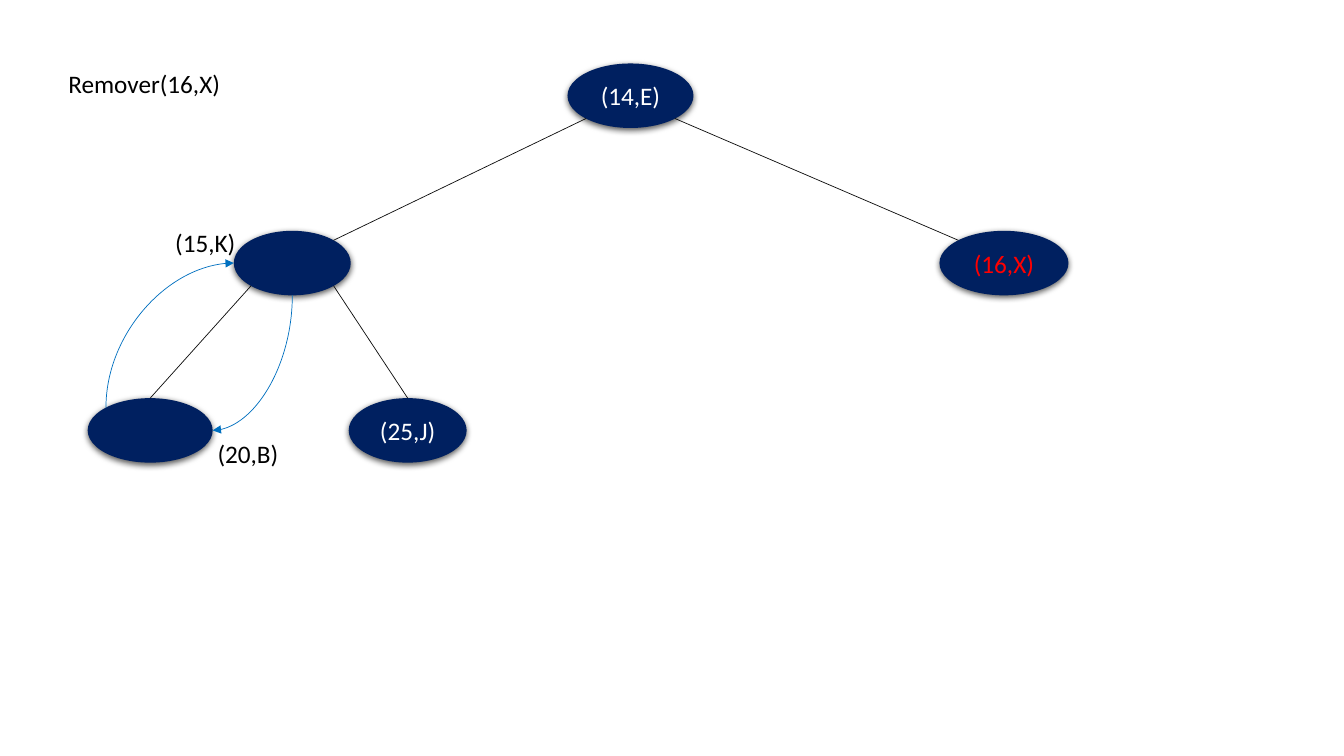
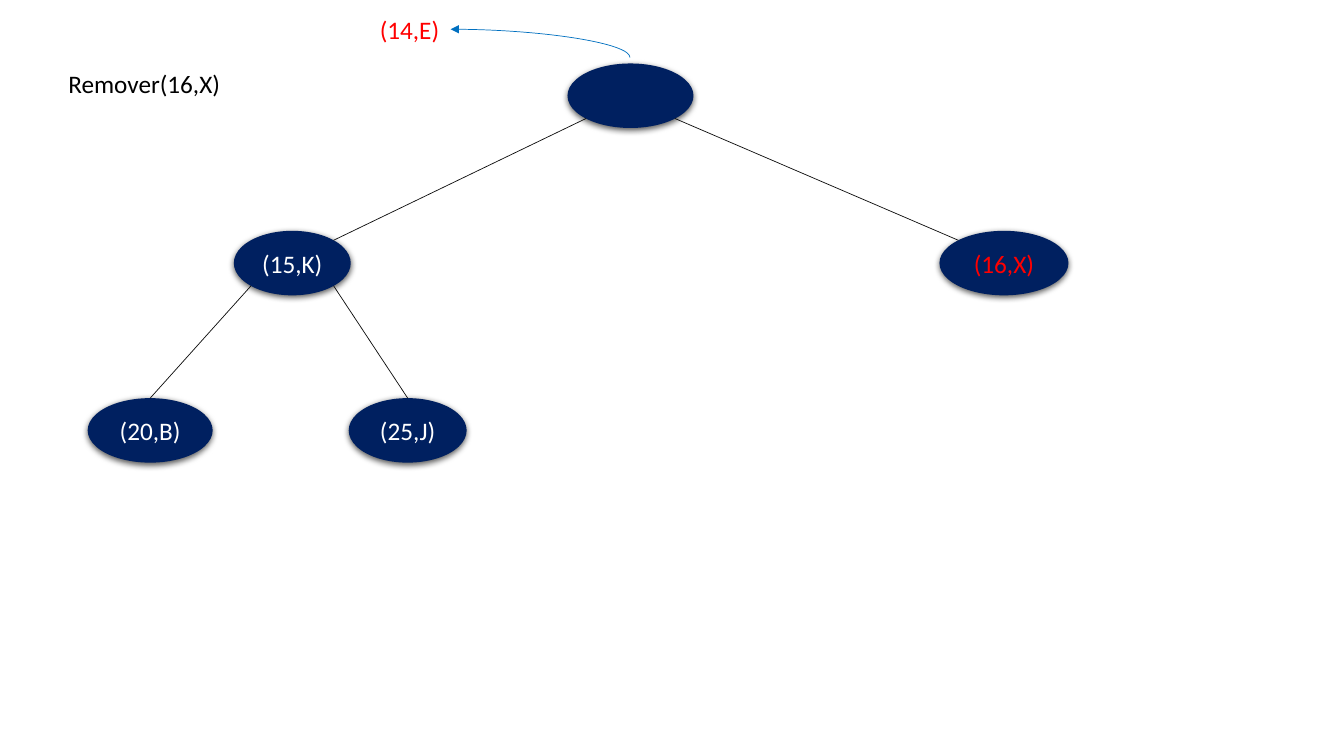
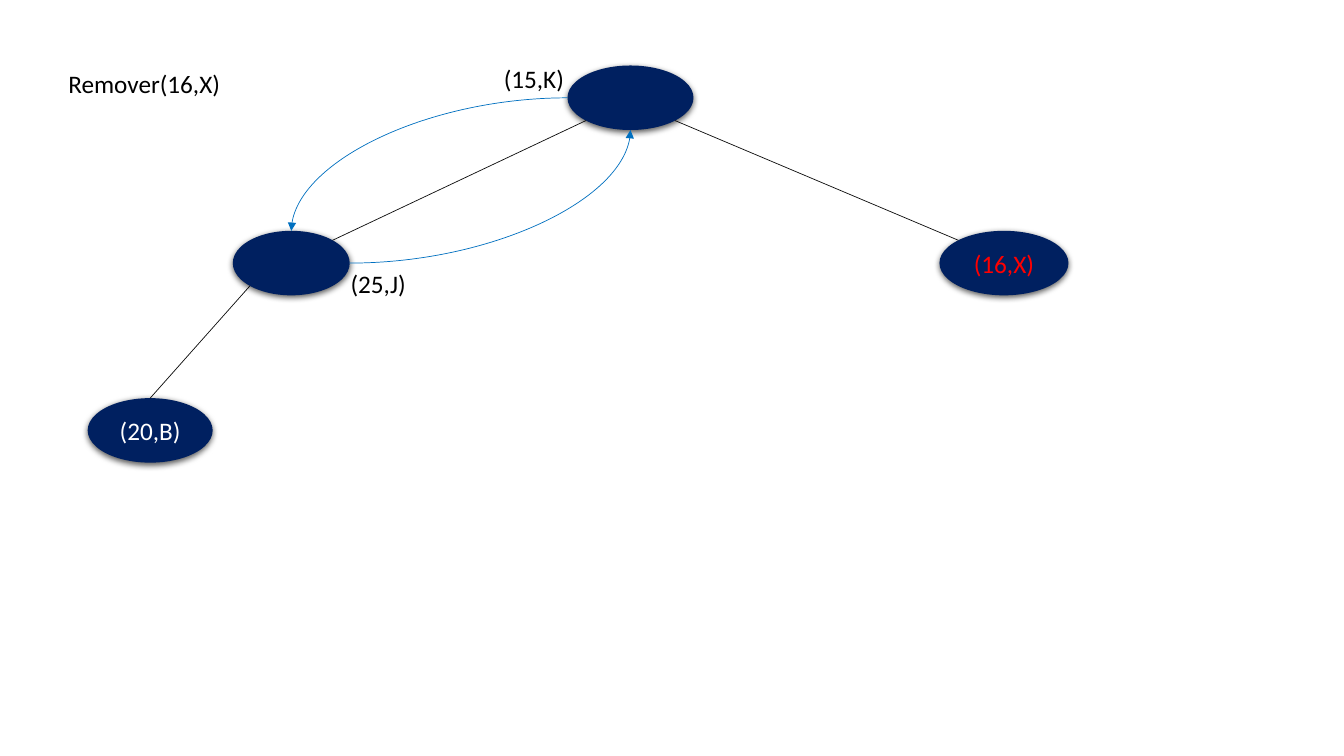
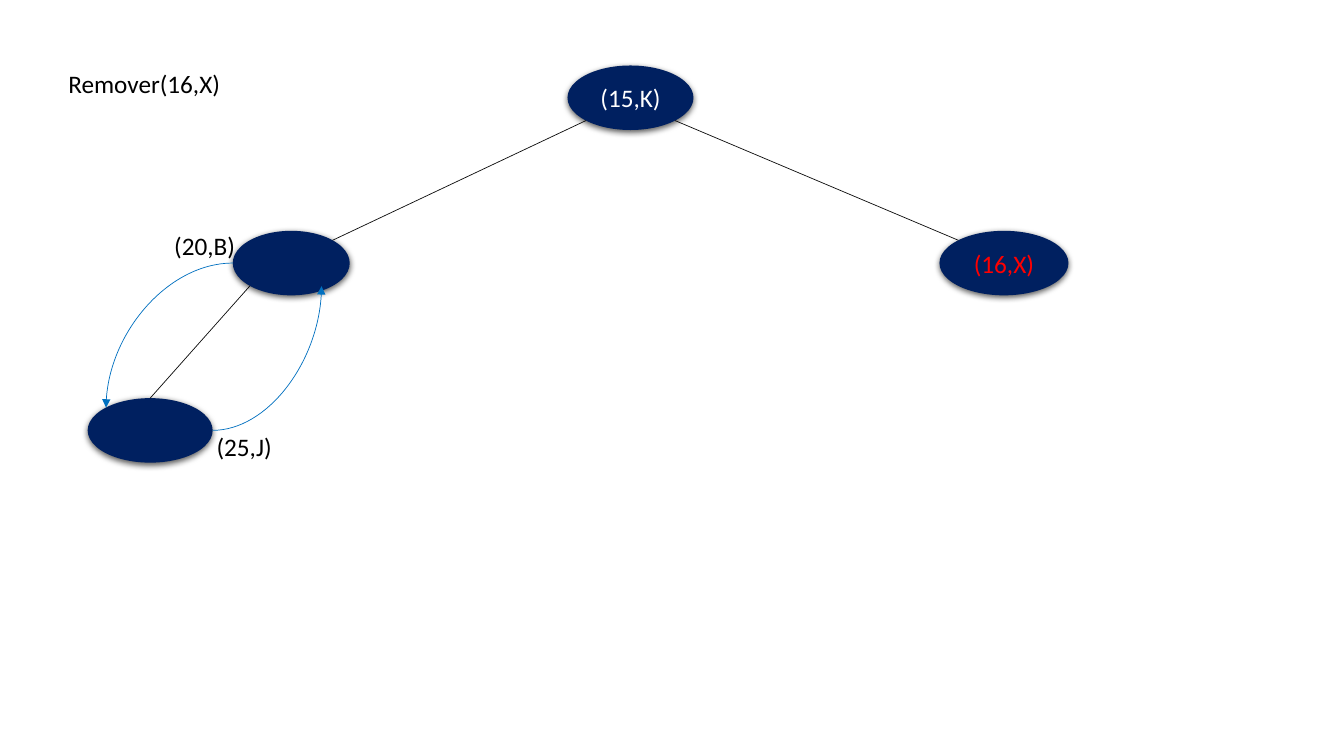
from math import cos, pi, sin

from lxml import etree
from pptx import Presentation
from pptx.dml.color import RGBColor
from pptx.enum.shapes import MSO_CONNECTOR, MSO_SHAPE
from pptx.enum.text import MSO_ANCHOR, MSO_AUTO_SIZE, PP_ALIGN
from pptx.oxml.ns import qn
from pptx.util import Emu, Pt

SCALE = 9144
BLANK_LAYOUT = 6
ELLIPSE = MSO_SHAPE.OVAL
STRAIGHT, CURVE = MSO_CONNECTOR.STRAIGHT, MSO_CONNECTOR.CURVE
CENTER, MIDDLE = PP_ALIGN.CENTER, MSO_ANCHOR.MIDDLE
GROW = MSO_AUTO_SIZE.SHAPE_TO_FIT_TEXT

NAVY = RGBColor(0x00, 0x20, 0x60)
BLUE = RGBColor(0x00, 0x70, 0xC0)
INK = RGBColor(0x0D, 0x0D, 0x0D)
BLACK = RGBColor(0x00, 0x00, 0x00)
WHITE = RGBColor(0xFF, 0xFF, 0xFF)
RED = RGBColor(0xFF, 0x00, 0x00)

FONT = {"name": "Calibri", "size": Pt(18)}
SHADOW = {"blurRad": "57150", "dist": "19050", "dir": "5400000",
          "algn": "ctr", "rotWithShape": "0"}
SHADOW_ALPHA = "63000"
NODE_HEIGHT = 64
LABEL_SIZE = (84, 40)
TOP, TOP_LEFT, LEFT, BOTTOM_LEFT, BOTTOM, BOTTOM_RIGHT, RIGHT, TOP_RIGHT = range(8)


def px(value):
    """Turn a length in px into EMU."""
    return Emu(round(value * SCALE))


def site(place, index):
    """Return the point of an ellipse at one of its eight connection sites."""
    left, top, width, height = place
    angle = -pi / 2 - index * pi / 4
    return (left + width / 2 * (1 + cos(angle)), top + height / 2 * (1 + sin(angle)))


class TreeDeck:
    """Hold the style, the presentation and the current slide."""

    def __init__(self):
        """Start an empty wide presentation."""
        self.deck = Presentation()
        self.deck.slide_width, self.deck.slide_height = px(1333.33), px(750)
        self.slide = None

    def add_page(self):
        """Start a new slide."""
        layout = self.deck.slide_layouts[BLANK_LAYOUT]
        self.slide = self.deck.slides.add_slide(layout)

    def add_text(self, frame, text, color):
        """Put one formatted line of text in a frame."""
        para = frame.paragraphs[0]
        span = para.add_run()
        span.text = text
        for key, value in FONT.items():
            setattr(span.font, key, value)
        span.font.color.rgb = color
        return para

    def add_label(self, text, left, top, size=LABEL_SIZE, color=BLACK, wrap=True):
        """Add a free label."""
        box = self.slide.shapes.add_textbox(*map(px, (left, top, *size)))
        box.text_frame.word_wrap = wrap
        box.text_frame.auto_size = GROW
        self.add_text(box.text_frame, text, color)

    def add_node(self, place, text, color=WHITE):
        """Add a tree node with a soft shadow."""
        node = self.slide.shapes.add_shape(ELLIPSE, *map(px, place))
        node.fill.solid()
        node.fill.fore_color.rgb = NAVY
        node.line.fill.background()
        node.shadow.inherit = False
        effects = node._element.spPr.find(qn("a:effectLst"))
        shadow = etree.SubElement(effects, qn("a:outerShdw"), SHADOW)
        black = etree.SubElement(shadow, qn("a:srgbClr"), val=str(BLACK))
        etree.SubElement(black, qn("a:alpha"), val=SHADOW_ALPHA)
        if text:
            node.text_frame.vertical_anchor = MIDDLE
            self.add_text(node.text_frame, text, color).alignment = CENTER

    def add_line(self, kind, start, end, color):
        """Add a thin connector without a shadow."""
        line = self.slide.shapes.add_connector(kind, *map(px, (*start, *end)))
        line.line.color.rgb = color
        line.line.width = Pt(0.5)
        etree.SubElement(line._element.spPr, qn("a:effectLst"))
        return line

    def add_arrow(self, start, end, vertical=False):
        """Add a quarter-curve arrow that leaves along one axis and arrives along the other."""
        across, down = end[0] - start[0], end[1] - start[1]
        angle = 0
        if vertical:
            across, down, angle = down, -across, 90
        if across < 0 < down:
            across, down, angle = -across, -down, angle + 180
        middle_x, middle_y = (start[0] + end[0]) / 2, (start[1] + end[1]) / 2
        arrow = self.add_line(CURVE, (middle_x - across / 2, middle_y - down / 2),
                              (middle_x + across / 2, middle_y + down / 2), BLUE)
        arrow.rotation = angle
        shape = arrow._element.spPr
        shape.find(qn("a:prstGeom")).set("prst", "curvedConnector2")
        etree.SubElement(shape.find(qn("a:ln")), qn("a:tailEnd"), type="triangle")

    def add_tree(self, places, texts):
        """Add the nodes, the edges between them and the heading."""
        for name, text in texts.items():
            self.add_node(places[name], text, RED if name == "right" else WHITE)
        edges = [("root", BOTTOM_LEFT, "left", TOP_RIGHT),
                 ("left", BOTTOM_LEFT, "first leaf", TOP),
                 ("root", BOTTOM_RIGHT, "right", TOP_LEFT),
                 ("left", BOTTOM_RIGHT, "second leaf", TOP)]
        for parent, leave, child, arrive in edges:
            if child in texts:
                self.add_line(STRAIGHT, site(places[parent], leave),
                              site(places[child], arrive), INK)
        self.add_label("Remover(16,X)", 58, 63, size=(173, 40), wrap=False)


def tree_places(root_top, left_edge):
    """Return the node places for one position of the root and of its left child."""
    corners = {"root": (563, root_top, 125), "left": (left_edge, 229, 116),
               "right": (932, 229, 128), "first leaf": (87, 395, 124),
               "second leaf": (346, 395, 117)}
    return {name: (*corner, NODE_HEIGHT) for name, corner in corners.items()}


def main():
    """Build the four steps of the removal."""
    tree = TreeDeck()
    early, late = tree_places(63, 232), tree_places(65, 231)

    tree.add_page()
    tree.add_tree(early, {"root": "(14,E)", "left": "", "right": "(16,X)",
                          "first leaf": "", "second leaf": "(25,J)"})
    tree.add_arrow(site(early["first leaf"], TOP_LEFT), site(early["left"], LEFT),
                   vertical=True)
    tree.add_label("(15,K)", 164, 221)
    tree.add_arrow(site(early["left"], BOTTOM), site(early["first leaf"], RIGHT),
                   vertical=True)
    tree.add_label("(20,B)", 206, 430)

    tree.add_page()
    tree.add_tree(early, {"root": "", "left": "(15,K)", "right": "(16,X)",
                          "first leaf": "(20,B)", "second leaf": "(25,J)"})
    tree.add_label("(14,E)", 367, 9, color=RED)
    tree.add_arrow((625, 57), (447, 29), vertical=True)

    tree.add_page()
    tree.add_tree(late, {"root": "", "left": "", "right": "(16,X)",
                         "first leaf": "(20,B)"})
    tree.add_arrow(site(late["left"], RIGHT), site(late["root"], BOTTOM))
    tree.add_label("(25,J)", 338, 261)
    tree.add_arrow(site(late["root"], LEFT), site(late["left"], TOP))
    tree.add_label("(15,K)", 490, 58)

    tree.add_page()
    tree.add_tree(late, {"root": "(15,K)", "left": "", "right": "(16,X)",
                         "first leaf": ""})
    tree.add_arrow(site(late["first leaf"], RIGHT), (319, 284))
    tree.add_label("(25,J)", 205, 423)
    tree.add_arrow(site(late["left"], LEFT), site(late["first leaf"], TOP_LEFT))
    tree.add_label("(20,B)", 163, 224)

    tree.deck.save("out.pptx")


if __name__ == "__main__":
    main()
